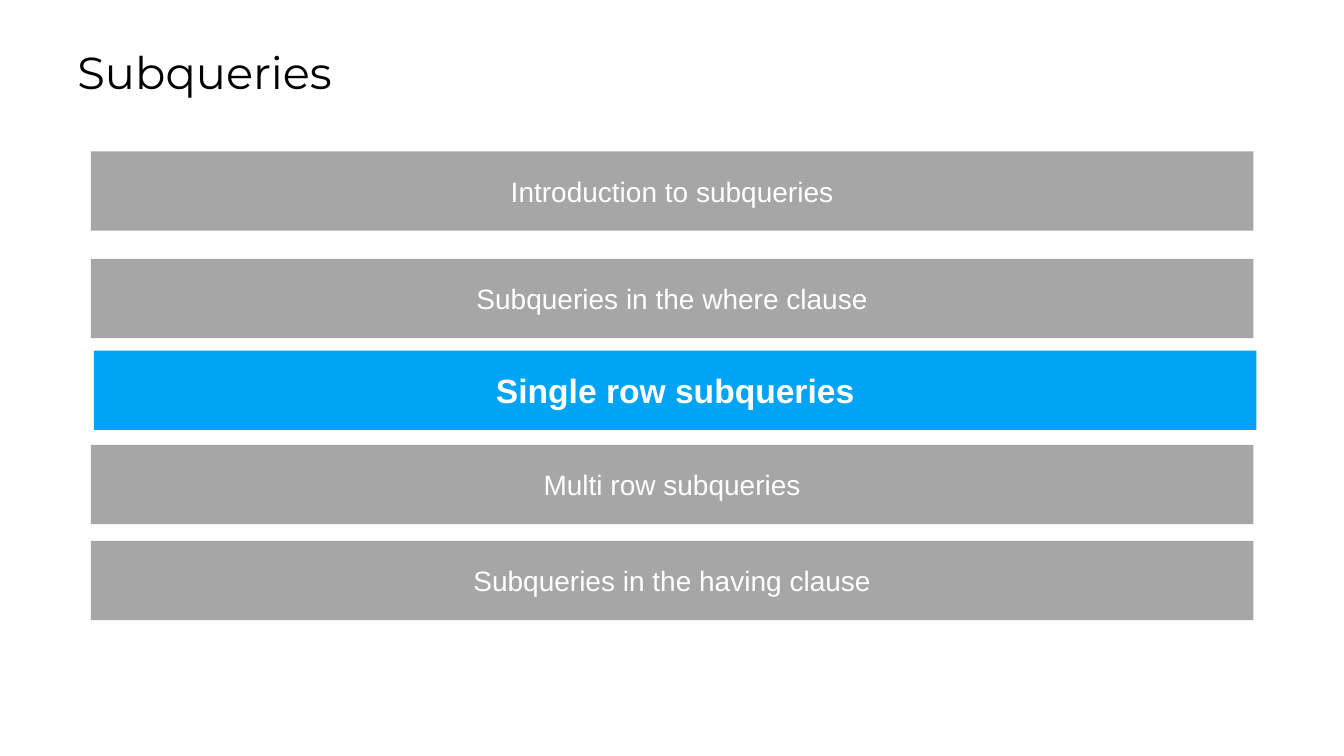
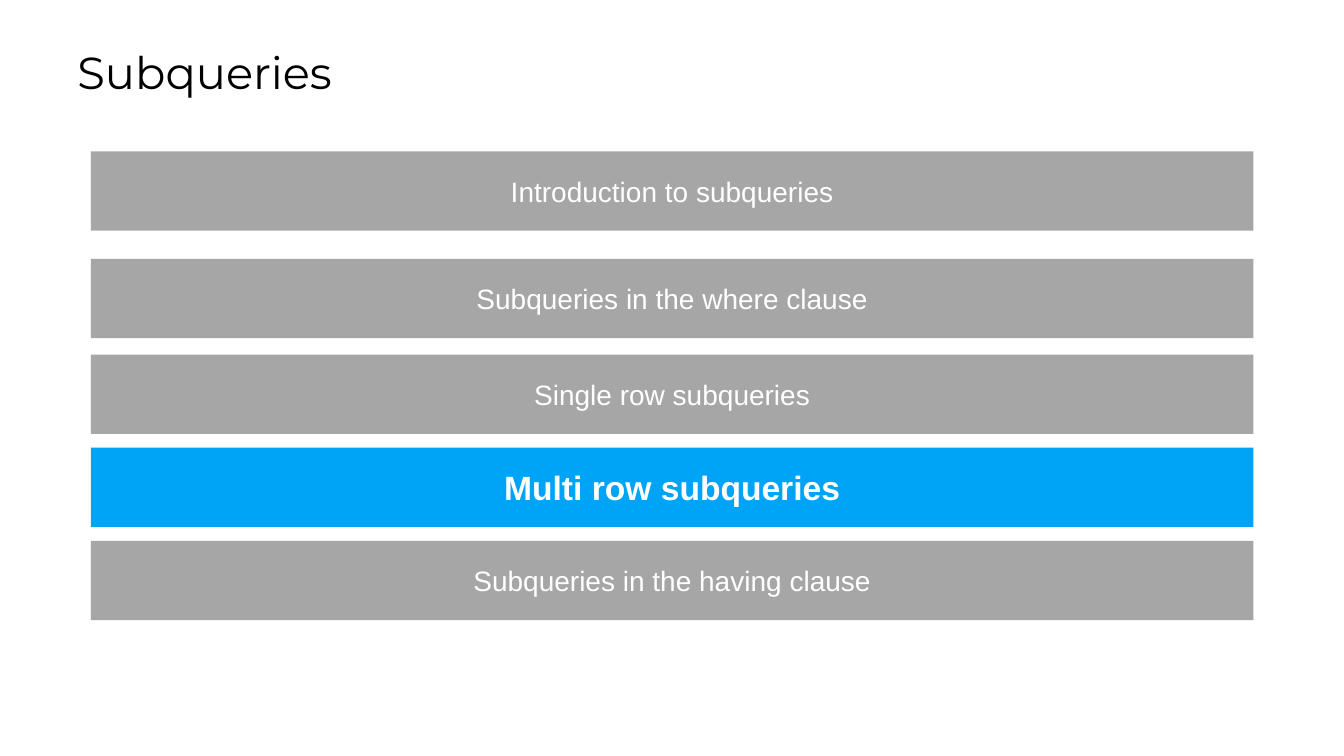
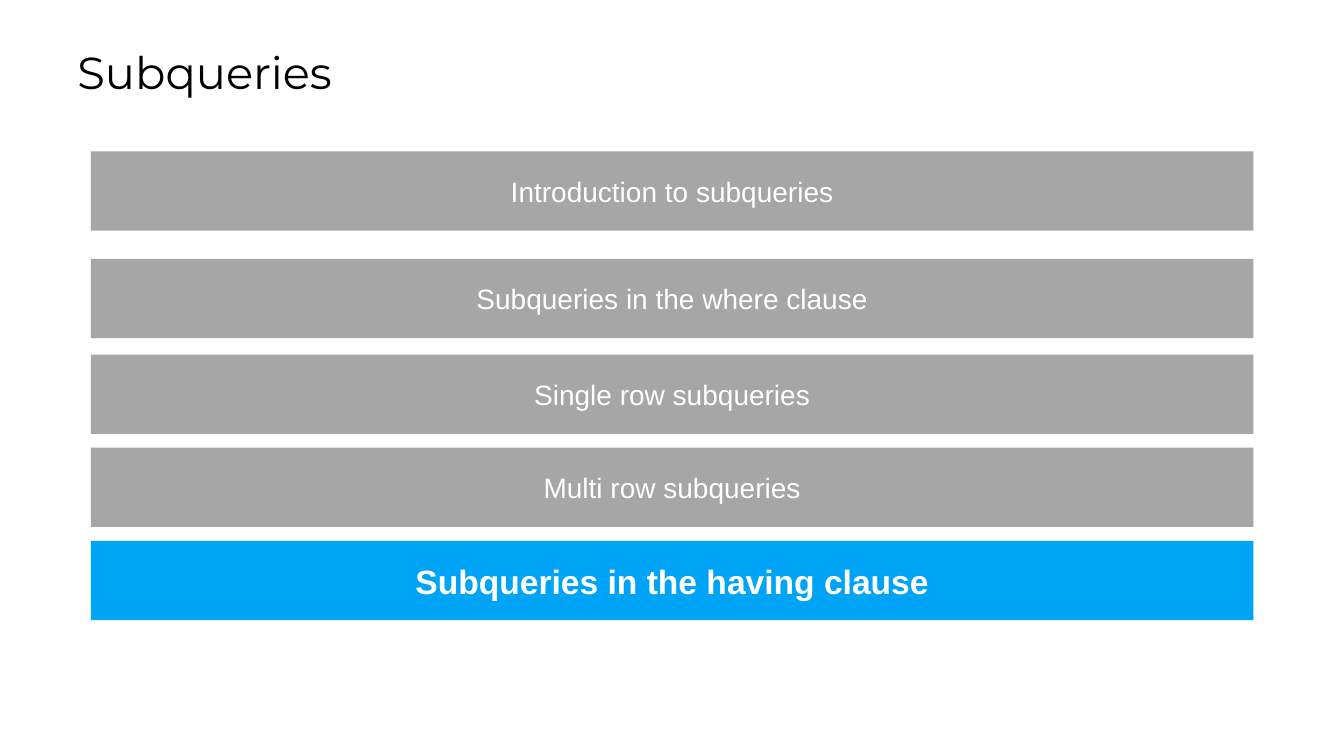
"""Build three agenda slides that each highlight one topic on subqueries."""
import dataclasses
import pptx
import pptx.dml.color
import pptx.enum.shapes
import pptx.enum.text
import pptx.util

Pt = pptx.util.Pt
RGB = pptx.dml.color.RGBColor.from_string
Align = pptx.enum.text.PP_ALIGN


@dataclasses.dataclass(frozen=True)
class Theme:
    """Colours, fonts and type sizes of the deck."""
    page: str = "FFFFFF"
    ink: str = "000000"
    light: str = "FFFFFF"
    mute: str = "A6A6A6"
    lit: str = "00A4F6"
    head: str = "Montserrat"
    body: str = "Arial"
    big: int = 32
    mid: int = 24
    small: int = 20


def write(frame, text, *, font, size, color, bold=False, align=Align.LEFT):
    """Put one formatted line of text in the middle of a frame."""
    frame.word_wrap = True
    frame.vertical_anchor = pptx.enum.text.MSO_ANCHOR.MIDDLE
    line = frame.paragraphs[0]
    line.alignment = align
    run = line.add_run()
    run.text = text
    run.font.name = font
    run.font.size = Pt(size)
    run.font.bold = bold
    run.font.color.rgb = RGB(color)


class Deck:
    """Hold the theme and the current slide."""

    def __init__(self, theme):
        """Start an empty wide deck."""
        self.theme = theme
        self.show = pptx.Presentation()
        self.show.slide_width = Pt(960)
        self.show.slide_height = Pt(540)
        self.slide = None

    def page(self):
        """Add a blank slide and make it current."""
        self.slide = self.show.slides.add_slide(self.show.slide_layouts[6])
        fill = self.slide.background.fill
        fill.solid()
        fill.fore_color.rgb = RGB(self.theme.page)

    def title(self, text):
        """Add the slide title."""
        look = self.theme
        box = self.slide.shapes.add_textbox(Pt(48.24), Pt(28.08), Pt(868.32), Pt(46.08))
        write(box.text_frame, text, font=look.head, size=look.big, color=look.ink)
        box.text_frame.auto_size = pptx.enum.text.MSO_AUTO_SIZE.SHAPE_TO_FIT_TEXT

    def bar(self, text, left, top, lit):
        """Add a topic bar, bright and bold when lit."""
        look = self.theme
        bar = self.slide.shapes.add_shape(
            pptx.enum.shapes.MSO_SHAPE.RECTANGLE,
            Pt(left), Pt(top), Pt(830.4), Pt(56.6))
        bar.shadow.inherit = False
        bar.fill.solid()
        bar.fill.fore_color.rgb = RGB(look.lit if lit else look.mute)
        bar.line.fill.background()
        write(bar.text_frame, text, font=look.body, color=look.light, bold=lit,
              size=look.mid if lit else look.small, align=Align.CENTER)


TOPICS = (
    "Introduction to subqueries",
    "Subqueries in the where clause",
    "Single row subqueries",
    "Multi row subqueries",
    "Subqueries in the having clause",
)
LEFT = 64.9
TOPS = (108.2, 184.9, 253.3, 319.8, 386.4)
MOVED = {
    "Single row subqueries": (67.1, 250.4),
    "Multi row subqueries": (LEFT, 317.8),
}


def agenda(deck, focus, moved):
    """Add an agenda slide with the focus topic lit."""
    deck.page()
    deck.title("Subqueries")
    for topic, top in zip(TOPICS, TOPS):
        left, top = moved.get(topic, (LEFT, top))
        deck.bar(topic, left, top, topic == focus)


deck = Deck(Theme())
for focus, moved in zip(TOPICS[2:], (MOVED, {}, {})):
    agenda(deck, focus, moved)
deck.show.save("out.pptx")
